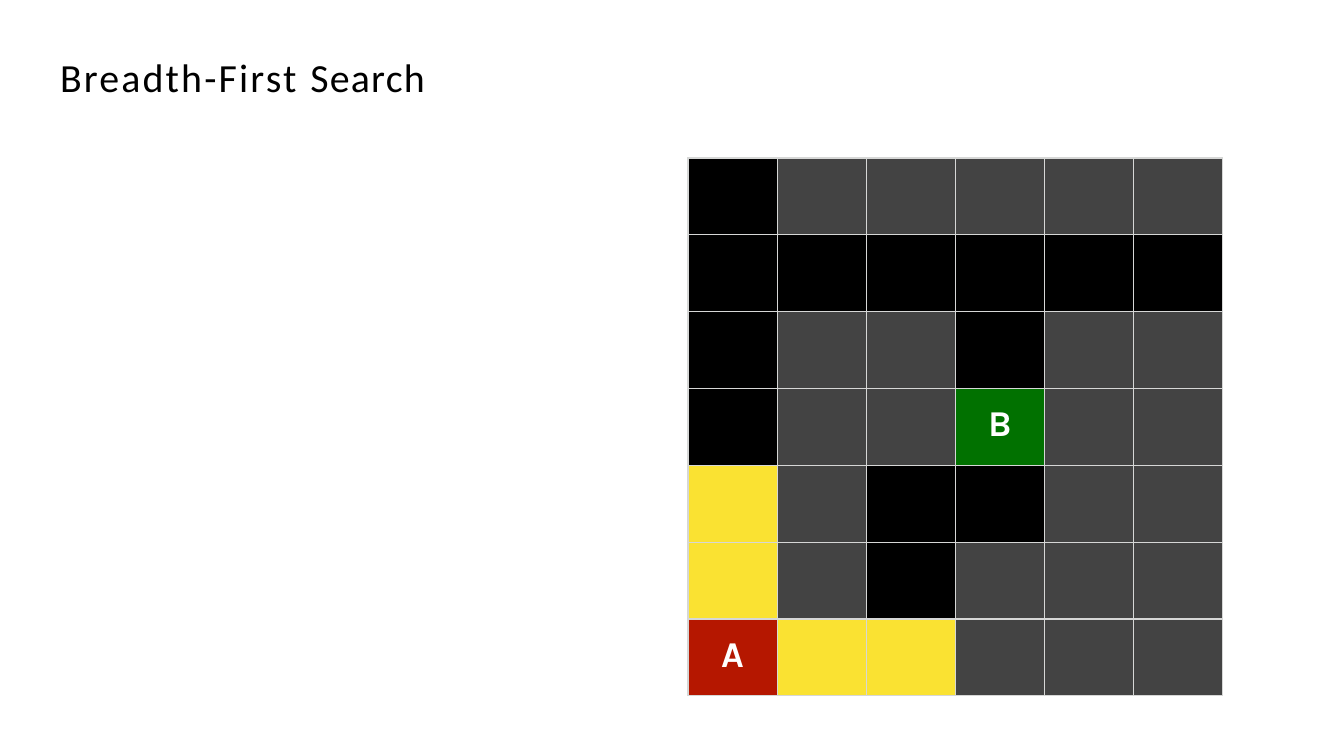
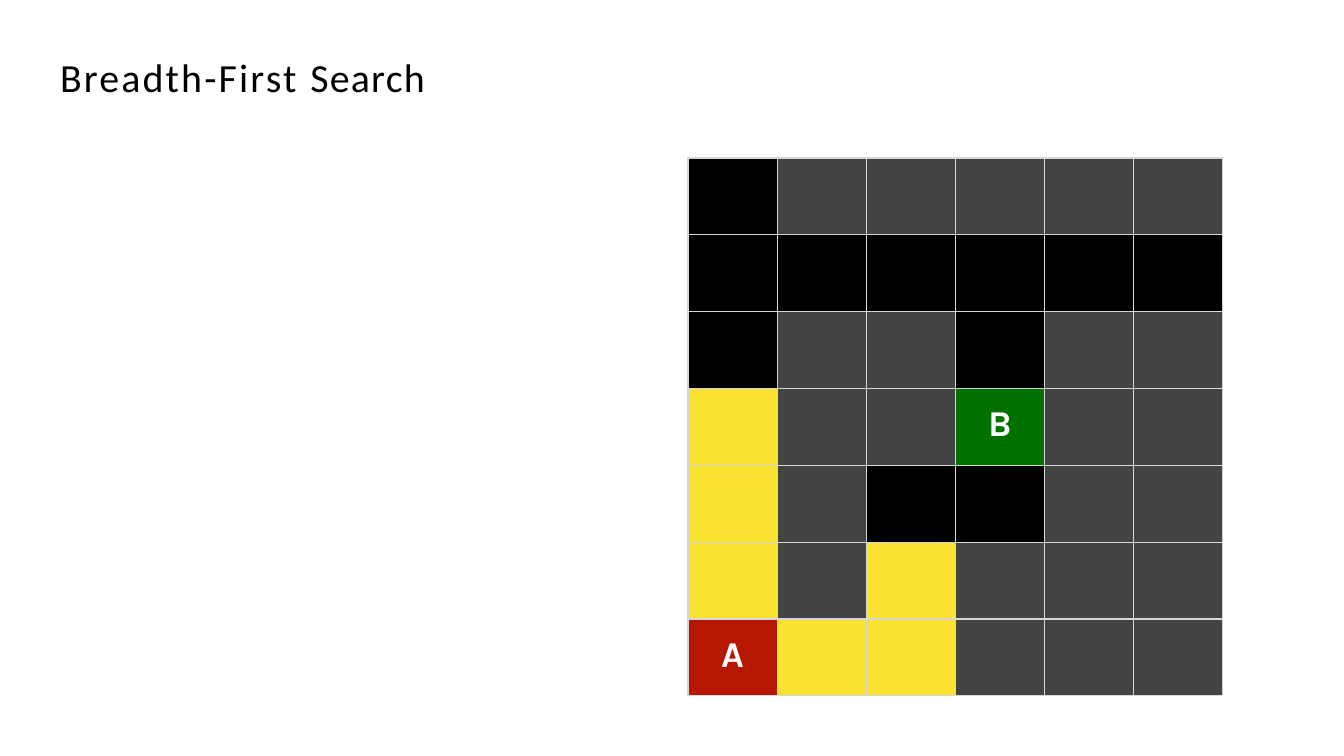
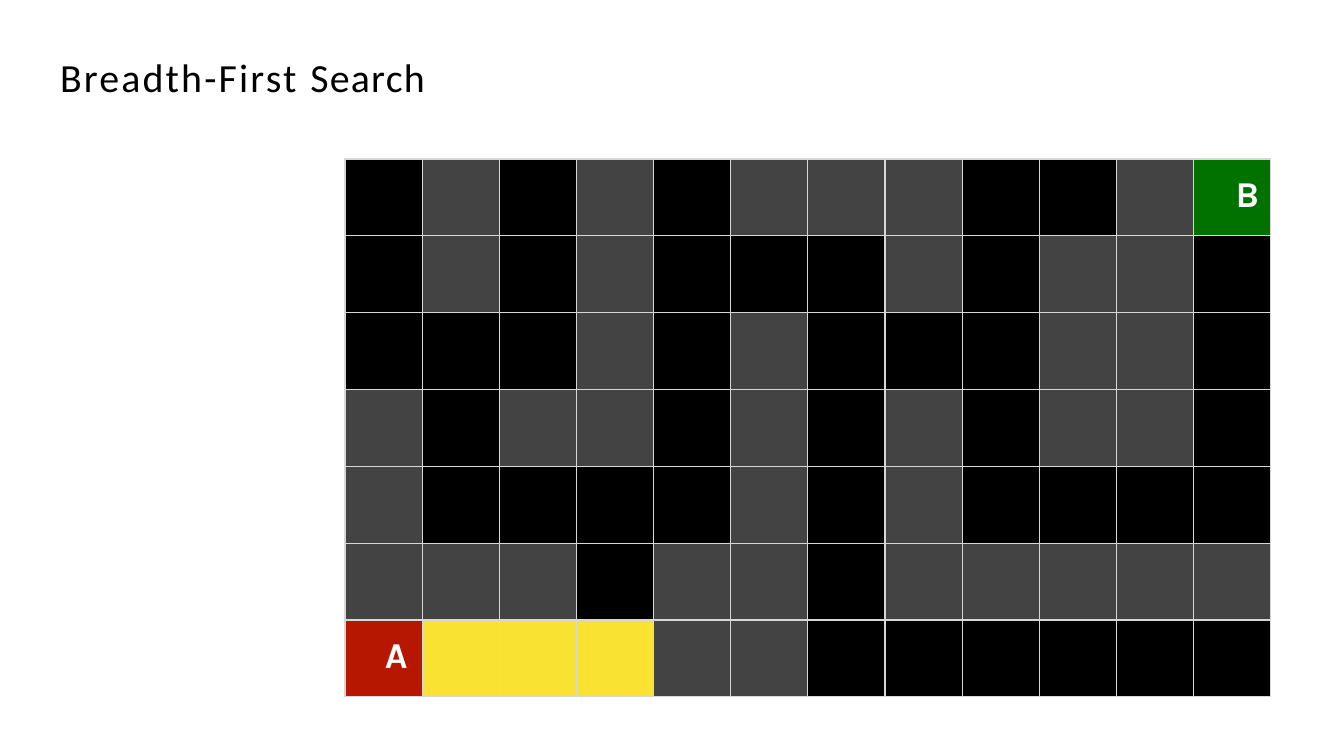
from lxml import etree
from pptx import Presentation
from pptx.dml.color import RGBColor
from pptx.enum.text import MSO_ANCHOR, MSO_AUTO_SIZE, PP_ALIGN
from pptx.oxml.ns import qn
from pptx.util import Pt

EMU_PER_PX = 914400 / 100.8
LEFT, CENTER = PP_ALIGN.LEFT, PP_ALIGN.CENTER
MIDDLE = MSO_ANCHOR.MIDDLE
GROW = MSO_AUTO_SIZE.SHAPE_TO_FIT_TEXT
TITLE_ONLY = 5

BLACK, WHITE, BORDER = "000000", "FFFFFF", "D6D7D6"
FILLS = {"#": "434343", ".": BLACK, "A": "B51700", "B": "017100"}
EXPLORED = "FAE232"
TITLE_FONT = {"name": "Calibri", "size": Pt(28.5), "bold": False}
LABEL_FONT = {"name": "Karla", "size": Pt(26), "bold": True}
TITLE_RUNS = [("Breadth-First ", 1.6), ("Search", 0.9)]
TITLE_BOX = (59, 52, 408, 49)
LABEL_TOP = 15

SMALL_MAZE = [
    ".#####",
    "......",
    ".##.##",
    ".##B##",
    ".#..##",
    ".#.###",
    "A..###",
]
LARGE_MAZE = [
    ".#.#.###..#B",
    ".#.#...#.##.",
    "...#.#...##.",
    "#.##.#.#.##.",
    "#....#.#....",
    "###.##.#####",
    "A...##......",
]
SMALL_BOX = (688, 158, 535, 538)
LARGE_BOX = (345, 159, 926, 538)
# Explored cells as (row, column)
FIRST_STEPS = {(5, 0), (4, 0), (6, 1), (6, 2)}
NEXT_STEPS = FIRST_STEPS | {(3, 0), (5, 2)}
LARGE_STEPS = {(6, 1), (6, 2), (6, 3)}
LARGE_INDENTS = {"A": 40, "B": 42}


def px(n):
    return round(n * EMU_PER_PX)


def rgb(value):
    return RGBColor.from_string(value)


def set_attrs(obj, values):
    for name, value in values.items():
        setattr(obj, name, value)


def add_run(p, text, font, color):
    r = p.add_run()
    r.text = text
    set_attrs(r.font, font)
    r.font.color.rgb = rgb(color)
    return r


def add_title_slide(prs):
    slide = prs.slides.add_slide(prs.slide_layouts[TITLE_ONLY])
    sp = slide.shapes.title
    set_attrs(sp, dict(zip(("left", "top", "width", "height"), map(px, TITLE_BOX))))
    tf = sp.text_frame
    set_attrs(tf, {"margin_left": px(1), "margin_top": px(1), "margin_right": 0,
                   "margin_bottom": 0, "vertical_anchor": MIDDLE,
                   "word_wrap": True, "auto_size": GROW})
    p = tf.paragraphs[0]
    p.alignment = LEFT
    for text, spacing in TITLE_RUNS:
        r = add_run(p, text, TITLE_FONT, BLACK)
        r._r.get_or_add_rPr().set("spc", str(round(spacing * 100)))
    return slide


def set_borders(cell):
    tc_pr = cell._tc.get_or_add_tcPr()
    for i, side in enumerate(("lnL", "lnR", "lnT", "lnB")):
        ln = etree.Element(qn(f"a:{side}"), w=str(Pt(1)))
        fill = etree.SubElement(ln, qn("a:solidFill"))
        etree.SubElement(fill, qn("a:srgbClr"), val=BORDER)
        tc_pr.insert(i, ln)


def add_maze(slide, maze, box, explored, indents=None):
    """Draw a maze as a table; labels are centred unless indents are given."""
    rows, cols = len(maze), len(maze[0])
    left, top, width, height = map(px, box)
    table = slide.shapes.add_table(rows, cols, left, top, width, height).table
    set_attrs(table, {"first_row": False, "horz_banding": False})
    for col in table.columns:
        col.width = width // cols
    for row in table.rows:
        row.height = height // rows
    for i, line in enumerate(maze):
        for j, mark in enumerate(line):
            cell = table.cell(i, j)
            cell.fill.solid()
            color = EXPLORED if (i, j) in explored else FILLS[mark]
            cell.fill.fore_color.rgb = rgb(color)
            set_borders(cell)
            if mark in "AB":
                add_label(cell, mark, indents)


def add_label(cell, mark, indents):
    set_attrs(cell, {"margin_left": px(indents[mark]) if indents else 0,
                     "margin_top": px(LABEL_TOP), "margin_right": 0,
                     "margin_bottom": 0})
    p = cell.text_frame.paragraphs[0]
    p.alignment = LEFT if indents else CENTER
    add_run(p, mark, LABEL_FONT, WHITE)


def main():
    prs = Presentation()
    set_attrs(prs, {"slide_width": px(1344), "slide_height": px(756)})
    for steps in (FIRST_STEPS, NEXT_STEPS):
        add_maze(add_title_slide(prs), SMALL_MAZE, SMALL_BOX, steps)
    add_maze(add_title_slide(prs), LARGE_MAZE, LARGE_BOX, LARGE_STEPS, LARGE_INDENTS)
    prs.save("out.pptx")


if __name__ == "__main__":
    main()
